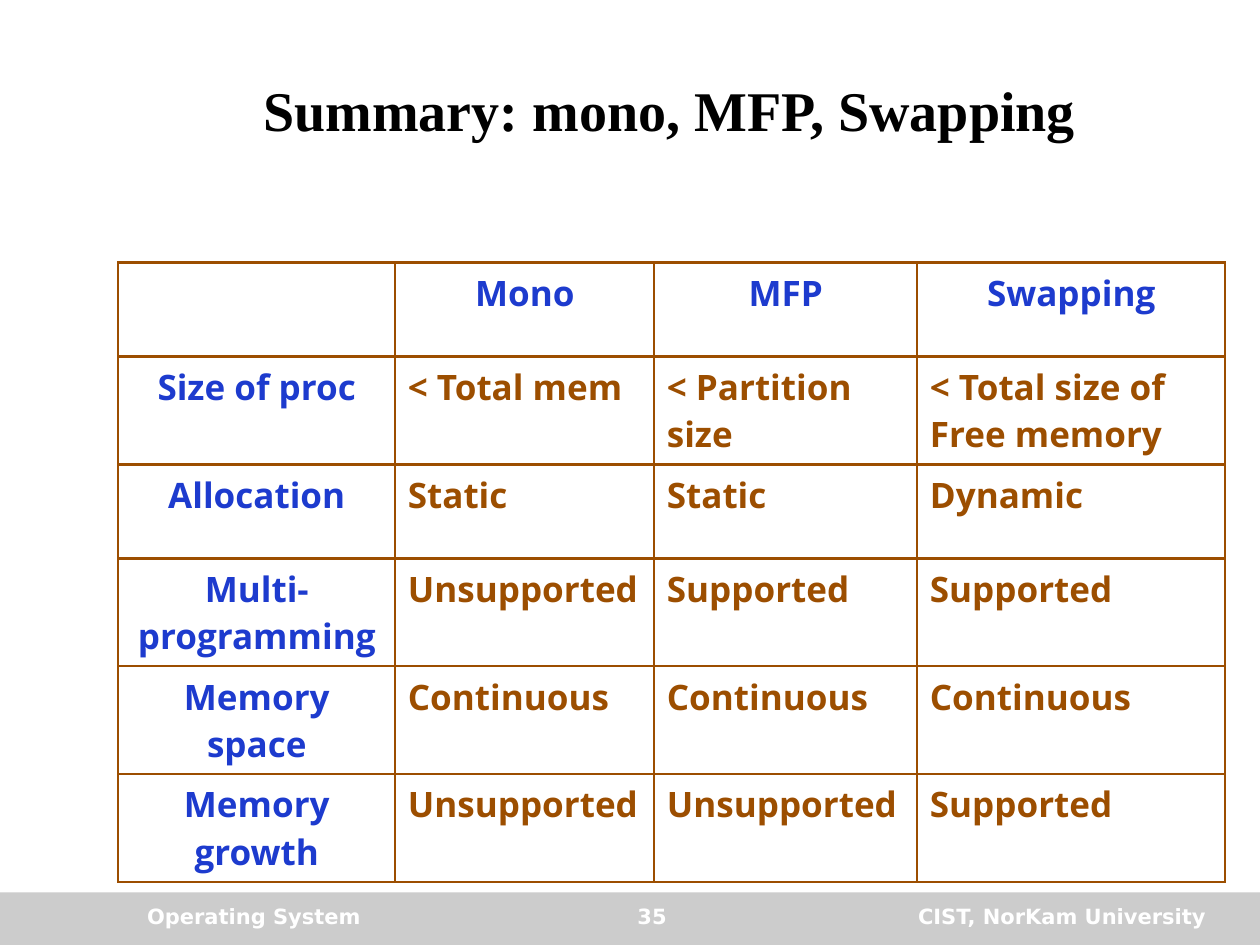
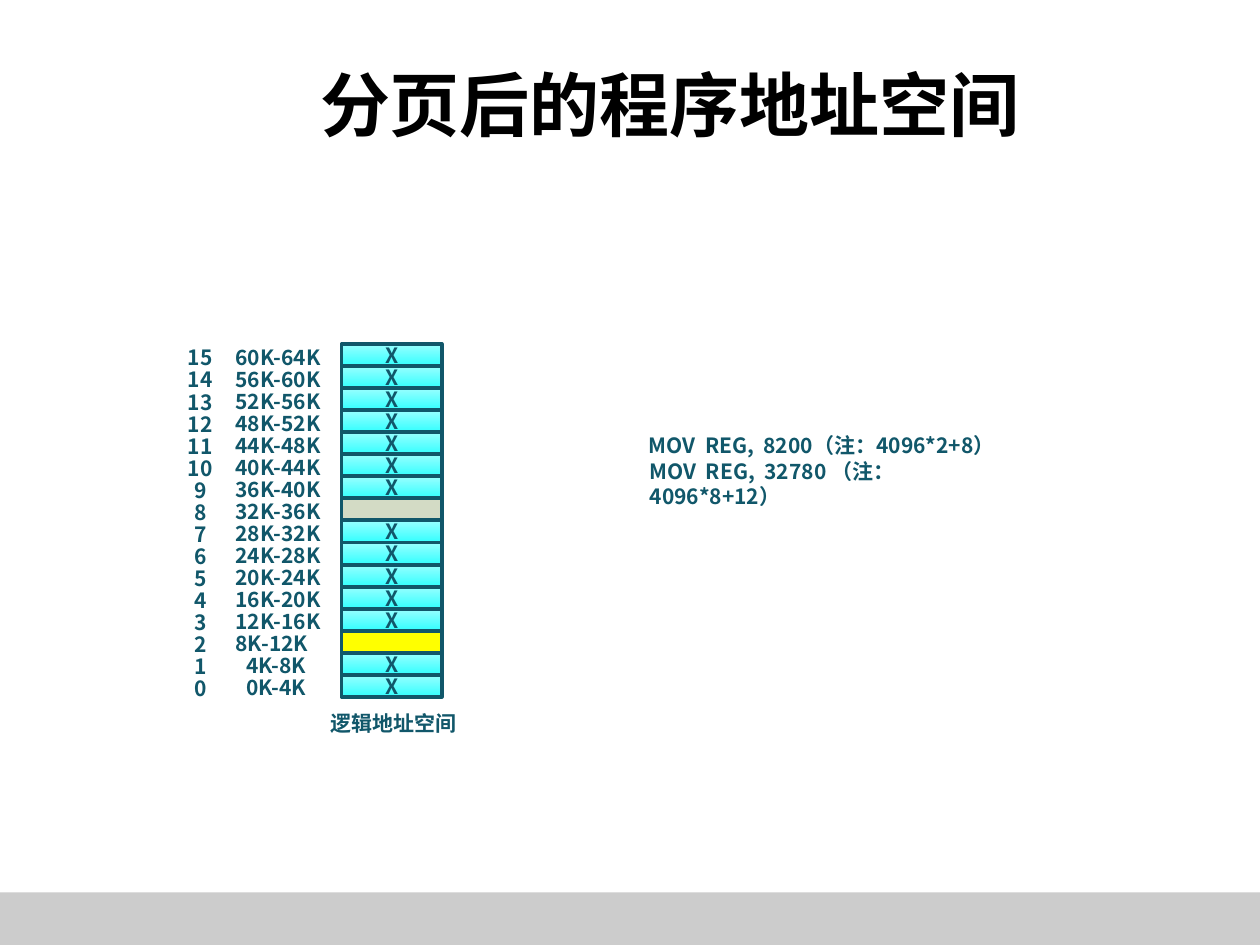
from lxml import etree
from pptx import Presentation
from pptx.dml.color import RGBColor
from pptx.enum.shapes import MSO_SHAPE
from pptx.enum.text import MSO_ANCHOR, MSO_AUTO_SIZE, PP_ALIGN
from pptx.oxml.ns import qn
from pptx.util import Pt

RECT = MSO_SHAPE.RECTANGLE
MIDDLE = MSO_ANCHOR.MIDDLE
NO_FIT = MSO_AUTO_SIZE.NONE
LEFT, MID, RIGHT = PP_ALIGN.LEFT, PP_ALIGN.CENTER, PP_ALIGN.RIGHT

COLORS = {
    "black": "000000", "white": "FFFFFF", "band": "CCCCCC",
    "blue": "1D3BCE", "brown": "9C4E00", "teal": "11576A",
    "light": "99FFFF", "cyan": "33FFFF", "yellow": "FFFF00", "grey": "D3DBC5",
}
SERIF, SANS, FOOT, CJK = "Times New Roman", "Open Sans", "DejaVu Sans", "Noto Sans CJK SC"

SUMMARY = [
    ["", "Mono", "MFP", "Swapping"],
    ["Size of proc", "< Total mem", "< Partition size", "< Total size of Free memory"],
    ["Allocation", "Static", "Static", "Dynamic"],
    ["Multi-programming", "Unsupported", "Supported", "Supported"],
    ["Memory space", "Continuous", "Continuous", "Continuous"],
    ["Memory growth", "Unsupported", "Unsupported", "Supported"],
]
WIDTHS = [158.3, 148, 150.3, 176]
ONE_LINE, TWO_LINE = 53.7, 61.7
HEIGHTS = [ONE_LINE, TWO_LINE, ONE_LINE, TWO_LINE, TWO_LINE, TWO_LINE]

PAGES = 16
PAGE_K = 4
MAPPED = {2: "yellow", 8: "grey"}
STACK_X, STACK_Y, PAGE_W, PAGE_H = 195.2, 196.6, 57.2, 12.6


def rgb(name):
    return RGBColor.from_string(COLORS[name])


def style(frame, size, font, color, align=LEFT):
    """Format all text of a frame in bold."""
    for para in frame.paragraphs:
        para.alignment = align
        for run in para.runs:
            run.font.size = Pt(size)
            run.font.name = font
            run.font.bold = True
            run.font.color.rgb = rgb(color)
            east = etree.SubElement(run.font._element, qn("a:ea"))
            east.set("typeface", CJK)


def add_label(slide, text, box, font=CJK, color="teal", align=LEFT, wrap=True):
    shape = slide.shapes.add_textbox(*map(Pt, box))
    frame = shape.text_frame
    frame.word_wrap = wrap
    frame.text = text
    style(frame, 12, font, color, align)


def add_rect(slide, box, fill, line=None):
    shape = slide.shapes.add_shape(RECT, *map(Pt, box))
    shape.shadow.inherit = False
    if isinstance(fill, tuple):
        shape.fill.gradient()
        shape.fill.gradient_angle = 270
        for stop, name in zip(shape.fill.gradient_stops, fill):
            stop.color.rgb = rgb(name)
    else:
        shape.fill.solid()
        shape.fill.fore_color.rgb = rgb(fill)
    if line:
        shape.line.color.rgb = rgb(line)
        shape.line.width = Pt(2.25)
    else:
        shape.line.fill.background()
    return shape


def add_slide(deck, text, size, height):
    """Start a slide with the shared title style and bottom band."""
    slide = deck.slides.add_slide(deck.slide_layouts[5])
    add_rect(slide, (0, 510, 720, 30), "band")
    title = slide.shapes.title
    title.left, title.top = Pt(76.3), Pt(23.8)
    title.width, title.height = Pt(612.7), Pt(height)
    frame = title.text_frame
    frame.text = text
    frame.auto_size = NO_FIT
    frame.vertical_anchor = MIDDLE
    style(frame, size, SERIF, "black", MID)
    return slide


def add_footer(slide, parts):
    spots = [(77, 198, LEFT), (288.7, 167.8, MID), (468, 228.2, RIGHT)]
    for text, (left, width, align) in zip(parts, spots):
        add_label(slide, text, (left, 512.6, width, 23.8), FOOT, "white", align)


def add_border(cell, color):
    props = cell._tc.get_or_add_tcPr()
    for pos, side in enumerate(("a:lnL", "a:lnR", "a:lnT", "a:lnB")):
        line = etree.Element(qn(side), w=str(Pt(1.5)))
        fill = etree.SubElement(line, qn("a:solidFill"))
        etree.SubElement(fill, qn("a:srgbClr"), val=COLORS[color])
        props.insert(pos, line)


def add_grid(slide, rows):
    grid = slide.shapes.add_table(
        len(rows), len(WIDTHS), Pt(67.6), Pt(150),
        Pt(sum(WIDTHS)), Pt(sum(HEIGHTS))).table
    grid.first_row = grid.horz_banding = False
    for col, width in zip(grid.columns, WIDTHS):
        col.width = Pt(width)
    for row, height in zip(grid.rows, HEIGHTS):
        row.height = Pt(height)
    for i, row in enumerate(rows):
        for j, text in enumerate(row):
            cell = grid.cell(i, j)
            cell.fill.background()
            add_border(cell, "brown")
            cell.text = text
            head = i == 0 or j == 0
            style(cell.text_frame, 20, SANS,
                  "blue" if head else "brown", MID if head else LEFT)


def add_page(slide, page):
    """Draw one page: number, address range and its cell."""
    top = STACK_Y + (PAGES - 1 - page) * PAGE_H
    span = f"{page * PAGE_K}K-{(page + 1) * PAGE_K}K"
    left = 133.6 if len(span) < 6 else 127.6
    add_label(slide, str(page), (99.7, top - 3, 29.5, 21.6), align=MID, wrap=False)
    add_label(slide, span, (left, top - 3.4, 66, 21.6), wrap=False)
    cell = add_rect(slide, (STACK_X, top, PAGE_W, PAGE_H),
                    MAPPED.get(page, ("light", "cyan")), "teal")
    if page not in MAPPED:
        frame = cell.text_frame
        frame.margin_top = frame.margin_bottom = 0
        frame.word_wrap = False
        frame.vertical_anchor = MIDDLE
        frame.text = "X"
        style(frame, 12, CJK, "teal", MID)


def main():
    deck = Presentation()
    deck.slide_width, deck.slide_height = Pt(720), Pt(540)

    # Comparison table
    slide = add_slide(deck, "Summary: mono, MFP, Swapping", 32, 77.4)
    add_footer(slide, ["Operating System", "35", "CIST, NorKam University"])
    add_grid(slide, SUMMARY)

    # Paged address space
    slide = add_slide(deck, "分页后的程序地址空间", 40, 70.6)
    for page in reversed(range(PAGES)):
        add_page(slide, page)
    add_label(slide, "逻辑地址空间", (174.2, 402.5, 101.5, 21.6), align=MID)

    # Sample instructions
    add_label(slide, "MOV  REG,  8200（注：4096*2+8）", (363.6, 243.8, 311, 21.6))
    add_label(slide, "MOV  REG,  32780 （注：4096*8+12）", (364.2, 258.6, 216, 36))

    deck.save("out.pptx")


if __name__ == "__main__":
    main()
